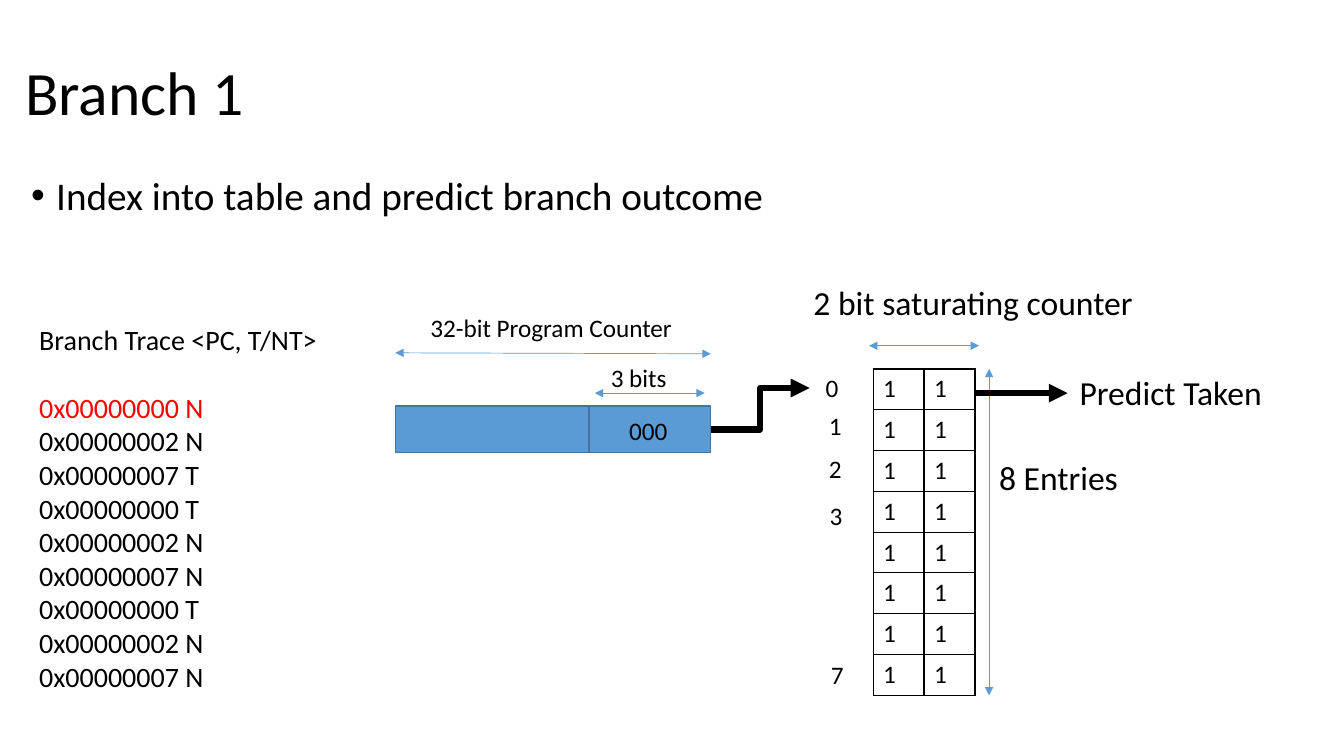
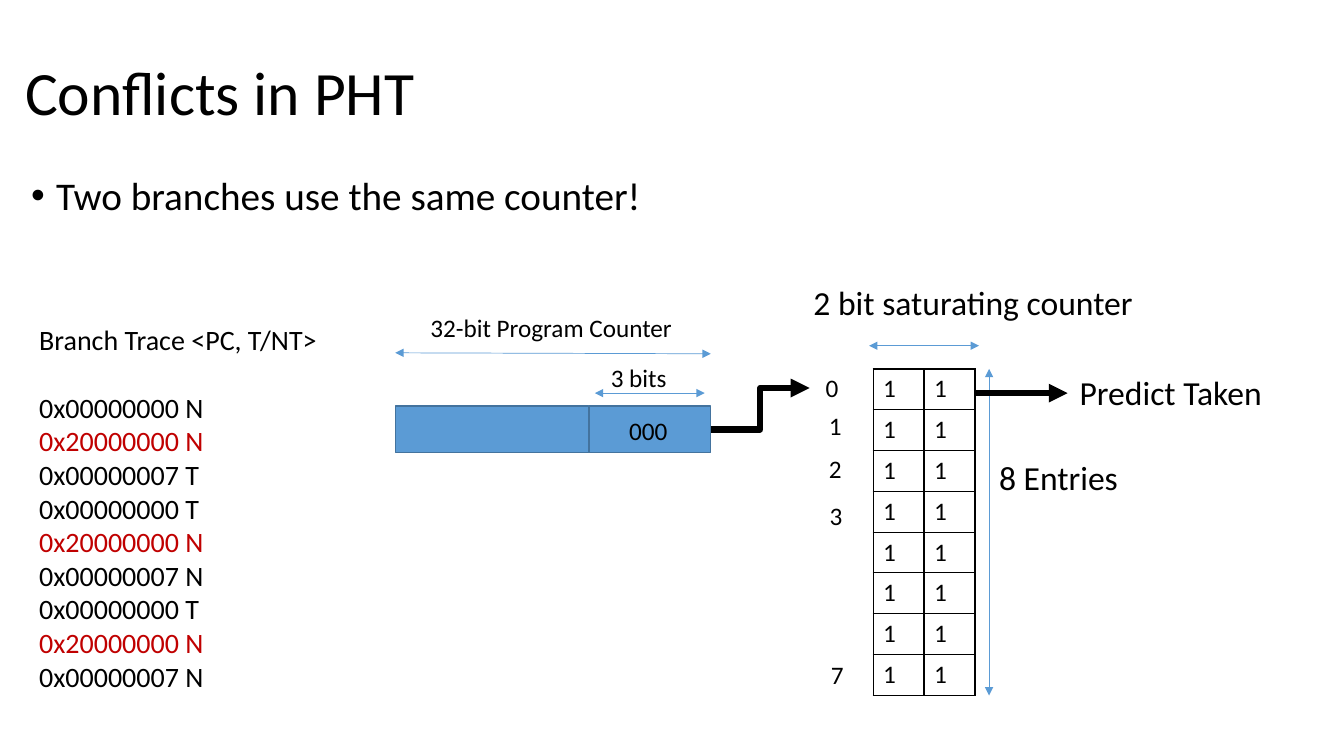
from dataclasses import dataclass
from itertools import cycle

from lxml import etree
from pptx import Presentation
from pptx.dml.color import RGBColor
from pptx.enum.shapes import MSO_CONNECTOR, MSO_SHAPE
from pptx.enum.text import MSO_ANCHOR, PP_ALIGN
from pptx.oxml.ns import qn
from pptx.util import Inches, Pt

STRAIGHT, ELBOW = MSO_CONNECTOR.STRAIGHT, MSO_CONNECTOR.ELBOW
RECTANGLE = MSO_SHAPE.RECTANGLE
TOP, MIDDLE = MSO_ANCHOR.TOP, MSO_ANCHOR.MIDDLE
LEFT = PP_ALIGN.LEFT


@dataclass(frozen=True)
class Theme:
    font: str = "Calibri"
    ink: str = "000000"
    paper: str = "FFFFFF"
    blue: str = "5B9BD5"
    blue_edge: str = "43739E"
    red: str = "FF0000"
    dark_red: str = "C00000"
    title: float = 44
    bullet: float = 28
    callout: float = 24
    trace: float = 20
    label: float = 18
    edge: float = 1
    measure: float = 0.5
    flow: float = 4.5


THEME = Theme()
OUTCOMES = "NNTTNNTNN"
ENTRIES = 8
INDEX_LABELS = [  # index, offset from the table's top-left corner
    ("0", -0.47, -0.02), ("1", -0.44, 0.36), ("2", -0.44, 0.79),
    ("3", -0.43, 1.25), ("7", -0.42, 2.83),
]


# Shared drawing helpers
def rgb(colour):
    return RGBColor.from_string(colour)


def add_run(paragraph, text, size, colour=THEME.ink):
    paragraph.alignment = LEFT
    run = paragraph.add_run()
    run.text = text
    run.font.name = THEME.font
    run.font.size = Pt(size)
    run.font.color.rgb = rgb(colour)


def add_text_frame(slide, box, wrap=True, anchor=TOP):
    frame = slide.shapes.add_textbox(*map(Inches, box)).text_frame
    frame.word_wrap = wrap
    frame.vertical_anchor = anchor
    return frame


def add_label(slide, box, text, size, side_inset=0.1):
    frame = add_text_frame(slide, box, wrap=False)
    frame.margin_left = frame.margin_right = Inches(side_inset)
    add_run(frame.paragraphs[0], text, size)


def add_arrow(slide, start, end, colour, width, both_ends=False, kind=STRAIGHT):
    arrow = slide.shapes.add_connector(kind, *map(Inches, (*start, *end)))
    arrow.line.color.rgb = rgb(colour)
    arrow.line.width = Pt(width)
    properties = arrow.element.spPr
    line = properties.find(qn("a:ln"))
    for tip in ("a:headEnd", "a:tailEnd") if both_ends else ("a:tailEnd",):
        etree.SubElement(line, qn(tip), type="triangle")
    etree.SubElement(properties, qn("a:effectLst"))


def add_measure(slide, start, end):
    add_arrow(slide, start, end, THEME.blue, THEME.measure, both_ends=True)


def add_flow(slide, start, end, kind=STRAIGHT):
    add_arrow(slide, start, end, THEME.ink, THEME.flow, kind=kind)


def set_borders(cell):
    properties = cell._tc.get_or_add_tcPr()
    for position, side in enumerate(("a:lnL", "a:lnR", "a:lnT", "a:lnB")):
        border = etree.Element(qn(side), w=str(Pt(THEME.edge)))
        fill = etree.SubElement(border, qn("a:solidFill"))
        etree.SubElement(fill, qn("a:srgbClr"), val=THEME.ink)
        properties.insert(position, border)


# Heading: title and one bullet
def add_heading(slide, box, title, bullet):
    left, top, width, height = box
    frame = add_text_frame(slide, (left, top, width, 1.45), anchor=MIDDLE)
    frame.paragraphs[0].line_spacing = 0.9
    add_run(frame.paragraphs[0], title, THEME.title)

    body = add_text_frame(slide, (left + 0.06, top + 1.48, width, height - 1.48))
    point = body.paragraphs[0]
    point.line_spacing = 0.9
    add_run(point, bullet, THEME.bullet)
    properties = point._p.get_or_add_pPr()
    properties.set("marL", str(Inches(0.25)))
    properties.set("indent", str(Inches(-0.25)))
    etree.SubElement(properties, qn("a:buFont"), typeface="Arial")
    etree.SubElement(properties, qn("a:buChar"), char="•")


# Branch trace: heading and one line per branch
def add_trace(slide, box, addresses, highlighted, colour):
    frame = add_text_frame(slide, box)
    add_run(frame.paragraphs[0], "Branch Trace <PC, T/NT>", THEME.trace)
    for step, (address, outcome) in enumerate(zip(cycle(addresses), OUTCOMES)):
        line = frame.add_paragraph()
        if step == 0:
            line.space_before = Pt(24.4)
        add_run(line, f"{address} {outcome}", THEME.trace,
                colour if address in highlighted(step) else THEME.ink)


# Program counter: register, index field and their widths
def add_program_counter(slide, box):
    left, top, width, height = box
    index_width = 1.21
    index_left = left + width - index_width
    for field_left, field_width in ((left, width - index_width),
                                    (index_left, index_width)):
        field = slide.shapes.add_shape(
            RECTANGLE, *map(Inches, (field_left, top, field_width, height)))
        field.shadow.inherit = False
        field.fill.solid()
        field.fill.fore_color.rgb = rgb(THEME.blue)
        field.line.color.rgb = rgb(THEME.blue_edge)
        field.line.width = Pt(THEME.edge)
    for text, x, y, label_width in (
        ("32-bit Program Counter", left + 0.25, top - 0.98, 2.62),
        ("3 bits", index_left + 0.12, top - 0.48, 0.76),
        ("000", index_left + 0.3, top + 0.04, 0.59),
    ):
        add_label(slide, (x, y, label_width, 0.4), text, THEME.label)
    add_measure(slide, (left, top - 0.53), (left + width, top - 0.52))
    add_measure(slide, (index_left + 0.06, top - 0.13),
                (left + width - 0.06, top - 0.13))


# Pattern history table: counters, indices and dimensions
def add_history_table(slide, box):
    left, top, width, height = box
    right = left + width
    table = slide.shapes.add_table(ENTRIES, 2, *map(Inches, box)).table
    table.first_row = table.horz_banding = False
    for row in table.rows:
        row.height = Inches(height / ENTRIES)
        for cell in row.cells:
            cell.fill.background()
            set_borders(cell)
            add_run(cell.text_frame.paragraphs[0], "1", THEME.label)
    for index, dx, dy in INDEX_LABELS:
        add_label(slide, (left + dx, top + dy, 0.13, 0.4), index,
                  THEME.label, side_inset=0)
    add_measure(slide, (right + 0.14, top), (right + 0.14, top + height))
    add_measure(slide, (left - 0.04, top - 0.23), (right + 0.04, top - 0.23))
    for text, x, y, label_width in (
        ("2 bit saturating counter", left - 0.69, top - 0.91, 3.4),
        ("8 Entries", right + 0.14, top + 0.82, 1.39),
        ("Predict Taken", right + 0.94, top - 0.02, 2.03),
    ):
        add_label(slide, (x, y, label_width, 0.5), text, THEME.callout)
    add_flow(slide, (right, top + 0.24), (right + 0.92, top + 0.24))


# Whole slide
def add_predictor_slide(deck, title, bullet, addresses, highlighted, colour):
    slide = deck.slides.add_slide(deck.slide_layouts[6])
    slide.background.fill.solid()
    slide.background.fill.fore_color.rgb = rgb(THEME.paper)
    counter = (3.92, 4.03, 3.13, 0.46)
    history = (8.66, 3.66, 1.01, 3.24)
    add_heading(slide, (0.15, 0.22, 11.5, 6.24), title, bullet)
    add_history_table(slide, history)
    add_program_counter(slide, counter)
    add_flow(slide, (counter[0] + counter[2], counter[1] + counter[3] / 2),
             (history[0] - 0.63, history[1] + 0.19), kind=ELBOW)
    add_trace(slide, (0.29, 3.15, 3.7, 3.77), addresses, highlighted, colour)


def main():
    deck = Presentation()
    deck.slide_width, deck.slide_height = Inches(13.33), Inches(7.5)
    add_predictor_slide(
        deck, "Branch 1", "Index into table and predict branch outcome",
        ("0x00000000", "0x00000002", "0x00000007"),
        lambda step: ("0x00000000",) if step == 0 else (), THEME.red)
    add_predictor_slide(
        deck, "Conflicts in PHT", "Two branches use the same counter!",
        ("0x00000000", "0x20000000", "0x00000007"),
        lambda step: ("0x20000000",), THEME.dark_red)
    deck.save("out.pptx")


if __name__ == "__main__":
    main()
